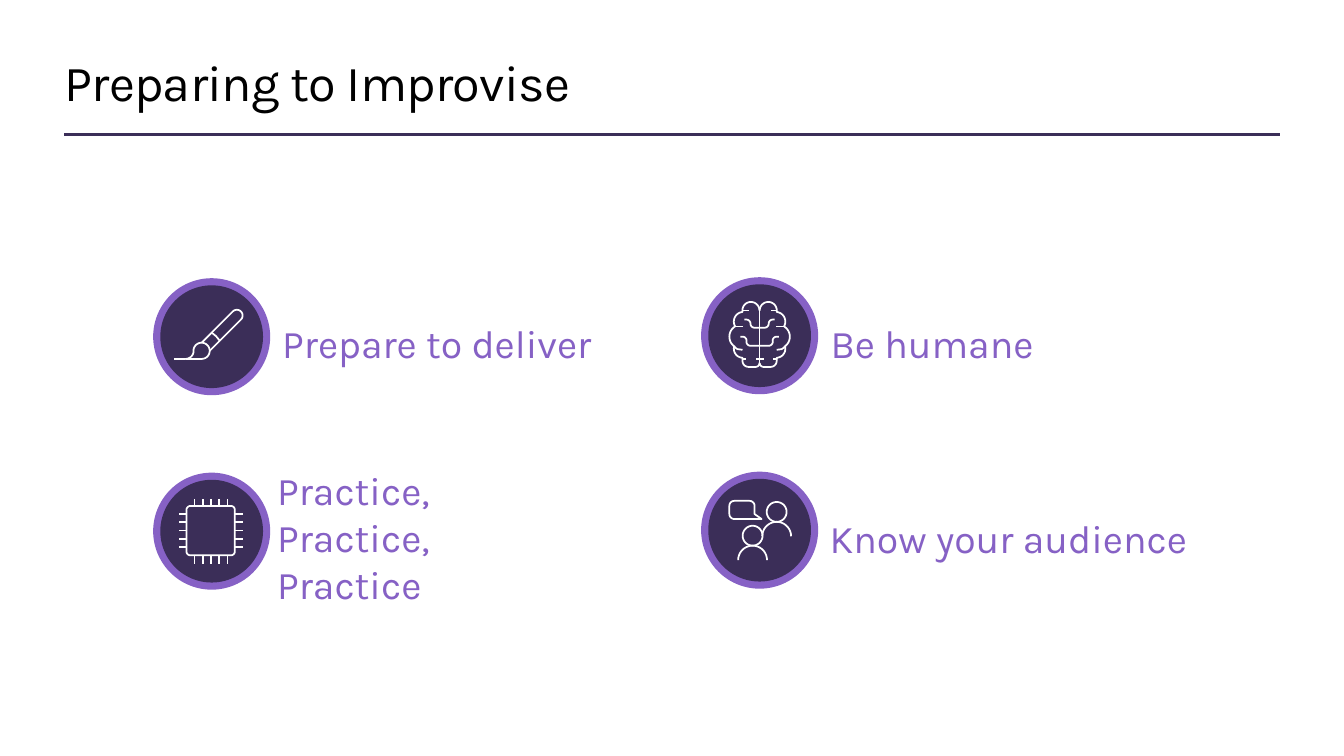
import math

import pptx
import pptx.dml.color
import pptx.enum.shapes
import pptx.enum.text
import pptx.oxml.ns
import pptx.util
from lxml import etree

Pt = pptx.util.Pt
PURPLE, INDIGO, WHITE, BLACK = "8661C5", "3B2E58", "FFFFFF", "000000"


def color(value):
    return pptx.dml.color.RGBColor.from_string(value)


def arc(x, y, radius, start, end):
    """Points along an arc; degrees run clockwise from the right."""
    steps = max(2, math.ceil(abs(end - start) / 10))
    angles = [math.radians(start + (end - start) * i / steps) for i in range(steps + 1)]
    return [(x + radius * math.cos(a), y + radius * math.sin(a)) for a in angles]


def ring(x, y, radius):
    return arc(x, y, radius, 0, 360)


# Each icon is a list of strokes, in points from the centre of its badge.
def brush():
    bristles = arc(-7.2, 10.1, 5.8, 180, 450) + arc(-18.7, 10.1, 5.8, 90, 0)
    handle = [(-1.4, 10.1)] + arc(18, -15.1, 4.1, 45, -135) + [(-7.2, 4.3)]
    return [bristles, handle, [(5.8, 2.9), (3.2, -0.3), (0, -2.9)],
            [(-26.6, 15.9), (-18.7, 15.9)]]


def chip():
    left, right, top, bottom, corner = -18, 16.6, -18, 17.3, 2.9
    body = (arc(left + corner, top + corner, corner, 180, 270)
            + arc(right - corner, top + corner, corner, 270, 360)
            + arc(right - corner, bottom - corner, corner, 0, 90)
            + arc(left + corner, bottom - corner, corner, 90, 180))
    strokes = [body + body[:1]]
    for i in range(5):
        pin = -12.2 + 5.9 * i
        strokes += [[(pin, -23), (pin, top)], [(pin, bottom), (pin, 23.4)],
                    [(-23, pin), (left, pin)], [(right, pin), (22.3, pin)]]
    return strokes


def audience():
    bubble = (arc(-18, -17.3, 3.6, 180, 270) + arc(-7.2, -17.3, 3.6, 270, 360)
              + [(-3.6, -11.5), (1.4, -7.9)] + arc(-18, -11.5, 3.6, 90, 180))
    strokes = [bubble + bubble[:1]]
    for x, y in [(-5, 4), (12.2, -13)]:
        strokes += [ring(x, y, 7.1), arc(x, y + 17.4, 10.3, 180, 360)]
    return strokes


def brain():
    outline = (arc(6.2, -18, 6.1, 180, 360) + arc(11.5, -10.1, 6.9, -84, 30)
               + arc(13, 0.7, 8.6, -57, 57) + arc(11.9, 9.3, 6.5, -12, 87)
               + arc(7.9, 18, 4.3, 0, 90) + arc(2.9, 19.4, 2.9, 90, 180))
    lower_fold = ([(13.7, 0.7)] + arc(12.2, 3.6, 2.9, 270, 180)
                  + arc(6.5, 4.3, 2.9, 0, 90) + [(0, 7.2)])
    upper_fold = ([(10.8, -11.5)] + arc(9.4, -8.6, 2.9, 270, 180)
                  + arc(3.6, -8.6, 2.9, 0, 90) + [(0, -5.7)])
    half = [outline, lower_fold, upper_fold,
            [(12.2, 10.1), (15.8, 9.6), (18.4, 7.9)],
            [(12.2, 16.6), (9.4, 16.6)], [(0, 16.6), (2.9, 16.6)],
            [(12.2, -18), (7.9, -18)], [(18, -6.5), (11.5, -6.5)]]
    mirrored = [[(-x, y) for x, y in stroke] for stroke in half]
    return half + mirrored + [[(0, -18), (0, 19.4)]]


class SlideBuilder:
    font = "Karla"

    def __init__(self, slide):
        self.slide = slide
        self.shapes = slide.shapes

    def set_text(self, box, text, size=28, fill=PURPLE, spacing=None):
        """Put text in a box; a line feed becomes a line break."""
        frame = box.text_frame
        frame.word_wrap = True
        frame.auto_size = pptx.enum.text.MSO_AUTO_SIZE.NONE
        frame.vertical_anchor = pptx.enum.text.MSO_ANCHOR.MIDDLE
        frame.margin_left = frame.margin_right = 0
        frame.margin_top = frame.margin_bottom = 0
        para = frame.paragraphs[0]
        para.alignment = pptx.enum.text.PP_ALIGN.LEFT
        para.space_before = Pt(0)
        for i, line in enumerate(text.split("\n")):
            if i:
                para.add_line_break()
            span = para.add_run()
            span.text = line
            span.font.name = self.font
            span.font.size = Pt(size)
            span.font.color.rgb = color(fill)
            if spacing:
                span._r.get_or_add_rPr().set("spc", str(round(spacing * 100)))

    def title(self, text, left, top, width, height):
        box = self.shapes.title
        box.left, box.top, box.width, box.height = map(Pt, (left, top, width, height))
        self.set_text(box, text, size=36, fill=BLACK, spacing=-0.5)

    def label(self, text, left, top, width, height):
        self.set_text(self.shapes.add_textbox(*map(Pt, (left, top, width, height))), text)

    def rule(self, left, right, y):
        line = self.shapes.add_connector(
            pptx.enum.shapes.MSO_CONNECTOR.STRAIGHT, Pt(left), Pt(y), Pt(right), Pt(y))
        line.line.color.rgb = color(INDIGO)
        line.line.width = Pt(2)
        etree.SubElement(line._element.spPr, pptx.oxml.ns.qn("a:effectLst"))

    def disc(self, x, y, radius, fill):
        disc = self.shapes.add_shape(
            pptx.enum.shapes.MSO_SHAPE.OVAL,
            Pt(x - radius), Pt(y - radius), Pt(2 * radius), Pt(2 * radius))
        disc.shadow.inherit = False
        disc.fill.solid()
        disc.fill.fore_color.rgb = color(fill)
        disc.line.fill.background()

    def icon(self, x, y, strokes):
        placed = [[(Pt(x + dx), Pt(y + dy)) for dx, dy in stroke] for stroke in strokes]
        builder = self.shapes.build_freeform(*placed[0][0])
        for i, stroke in enumerate(placed):
            if i:
                builder.move_to(*stroke[0])
            builder.add_line_segments(stroke[1:], close=False)
        icon = builder.convert_to_shape()
        icon.shadow.inherit = False
        icon.fill.background()
        icon.line.color.rgb = color(WHITE)
        icon.line.width = Pt(1.25)

    def badge(self, x, y, strokes):
        self.disc(x, y, 41.8, PURPLE)
        self.disc(x, y, 36.7, INDIGO)
        self.icon(x, y, strokes)


def main():
    deck = pptx.Presentation()
    deck.slide_width, deck.slide_height = Pt(960), Pt(540)
    page = SlideBuilder(deck.slides.add_slide(deck.slide_layouts[5]))
    page.rule(46, 914.4, 95.8)
    page.title("Preparing to Improvise", 46, 36, 868, 44)
    # Badge centre, icon, label, label left, top and width
    topics = [
        (151.2, 240.5, brush(), "Prepare to deliver", 201.6, 210.5, 290),
        (151.2, 379.4, chip(), "Practice,\nPractice,\nPractice", 198, 349, 139),
        (542.6, 239.8, brain(), "Be humane", 593.3, 210.5, 152),
        (542.6, 378.7, audience(), "Know your audience", 592.6, 349.5, 294),
    ]
    for x, y, strokes, text, left, top, width in topics:
        page.badge(x, y, strokes)
        page.label(text, left, top, width, 69)
    deck.save("out.pptx")


if __name__ == "__main__":
    main()
